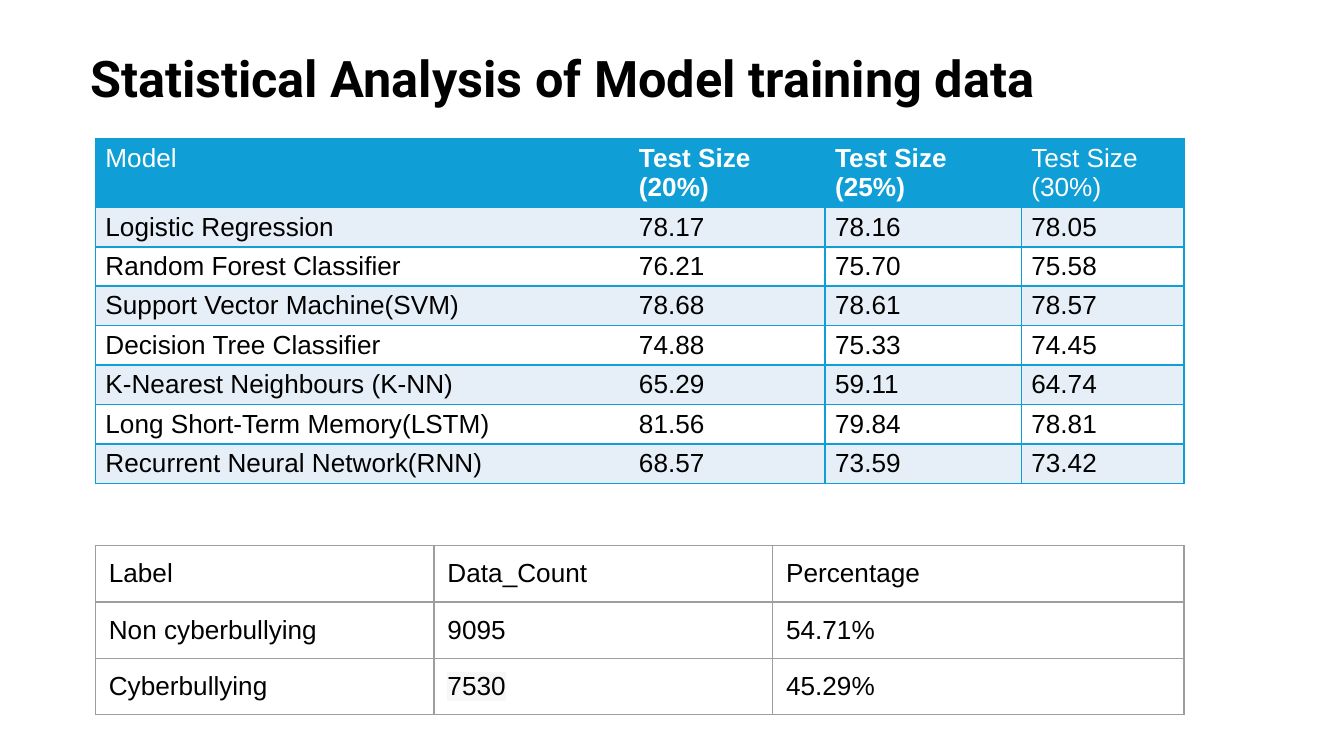
import pptx
import pptx.util
import pptx.dml.color
import pptx.enum.text
import pptx.oxml
import pptx.oxml.ns
import pptx.oxml.xmlchemy

Inches = pptx.util.Inches
Pt = pptx.util.Pt

HUES = {
    "ink": "000000",
    "paper": "FFFFFF",
    "blue": "0F9ED5",
    "pale": "E6EFF7",
    "gray": "9E9E9E",
    "mark": "F7F7F7",
}

SCORES = [
    ["Model", "Test Size\n(20%)", "Test Size\n(25%)", "Test Size\n(30%)"],
    ["Logistic Regression", "78.17", "78.16", "78.05"],
    ["Random Forest Classifier", "76.21", "75.70", "75.58"],
    ["Support Vector Machine(SVM)", "78.68", "78.61", "78.57"],
    ["Decision Tree Classifier", "74.88", "75.33", "74.45"],
    ["K-Nearest Neighbours (K-NN)", "65.29", "59.11", "64.74"],
    ["Long Short-Term Memory(LSTM)", "81.56", "79.84", "78.81"],
    ["Recurrent Neural Network(RNN)", "68.57", "73.59", "73.42"],
]

COUNTS = [
    ["Label", "Data_Count", "Percentage"],
    ["Non cyberbullying", "9095", "54.71%"],
    ["Cyberbullying", "7530", "45.29%"],
]


def paint(hue):
    return pptx.dml.color.RGBColor.from_string(HUES[hue])


def make(tag, **attrs):
    node = pptx.oxml.xmlchemy.OxmlElement(tag)
    for name, value in attrs.items():
        node.set(name, str(value))
    return node


def add_run(para, text, size, face, hue, bold=False):
    run = para.add_run()
    run.text = text
    run.font.size = Pt(size)
    run.font.name = face
    run.font.bold = bold
    run.font.color.rgb = paint(hue)
    return run


def add_mark(run, hue):
    light = make("a:highlight")
    light.append(make("a:srgbClr", val=HUES[hue]))
    fill = run.font._element.find(pptx.oxml.ns.qn("a:solidFill"))
    fill.addnext(light)


def add_title(slide, text):
    title = slide.shapes.title
    title.left, title.top = Inches(0.6), Inches(0.38)
    title.width, title.height = Inches(8.62), Inches(0.45)
    frame = title.text_frame
    frame.word_wrap = True
    frame.auto_size = pptx.enum.text.MSO_AUTO_SIZE.NONE
    frame.vertical_anchor = pptx.enum.text.MSO_ANCHOR.MIDDLE
    frame.margin_left = frame.margin_right = Inches(0.07)
    frame.margin_top = frame.margin_bottom = Inches(0.04)
    para = frame.paragraphs[0]
    para.alignment = pptx.enum.text.PP_ALIGN.LEFT
    para.line_spacing = 0.9
    add_run(para, text, 27, "Roboto", "ink", True)


def add_edges(cell, hue, width, bare=""):
    props = cell._tc.get_or_add_tcPr()
    for place, side in enumerate("LRTB"):
        line = make(f"a:ln{side}", w=Pt(width))
        if side in bare:
            line.append(make("a:noFill"))
        else:
            fill = make("a:solidFill")
            fill.append(make("a:srgbClr", val=HUES[hue]))
            line.append(fill)
        props.insert(place, line)


def fill_cell(cell, text, pad, hue="ink", bold=False):
    cell.margin_left = cell.margin_right = Inches(pad[0])
    cell.margin_top = cell.margin_bottom = Inches(pad[1])
    frame = cell.text_frame
    for place, line in enumerate(text.split("\n")):
        para = frame.add_paragraph() if place else frame.paragraphs[0]
        run = add_run(para, line, 14, "Arial", hue, bold)
    return run


def add_grid(slide, top, wide, high):
    frame = slide.shapes.add_table(
        len(high), len(wide), Inches(0.71), Inches(top),
        Inches(sum(wide)), Inches(sum(high)))
    grid = frame.table
    grid.first_row = grid.horz_banding = False
    for col, width in zip(grid.columns, wide):
        col.width = Inches(width)
    for row, height in zip(grid.rows, high):
        row.height = Inches(height)
    return grid


def add_scores(slide):
    grid = add_grid(slide, 1.03, [3.97, 1.46, 1.46, 1.21], [0.35] + [0.2] * 7)
    pad = (0.15 / 2, 0.15 / 4)
    for r, row in enumerate(SCORES):
        head = r == 0
        back = "blue" if head else ("paper", "pale")[r % 2]
        for c, text in enumerate(row):
            cell = grid.cell(r, c)
            fill_cell(cell, text, pad, "paper" if head else "ink",
                      head and c in (1, 2))
            cell.fill.solid()
            cell.fill.fore_color.rgb = paint(back)
            add_edges(cell, "blue", 1, {0: "R", 1: "L"}.get(c, ""))


def add_counts(slide):
    grid = add_grid(slide, 4.06, [2.52, 2.52, 3.06], [0.42] * 3)
    for r, row in enumerate(COUNTS):
        for c, text in enumerate(row):
            cell = grid.cell(r, c)
            run = fill_cell(cell, text, (0.1, 0.1))
            if text == "7530":
                add_mark(run, "mark")
            cell.fill.background()
            add_edges(cell, "gray", 0.75)


def main():
    deck = pptx.Presentation()
    deck.slide_width = Inches(10)
    deck.slide_height = deck.slide_width * 9 // 16
    slide = deck.slides.add_slide(deck.slide_layouts[5])
    add_title(slide, "Statistical Analysis of Model training data")
    add_scores(slide)
    add_counts(slide)
    deck.save("out.pptx")


if __name__ == "__main__":
    main()
